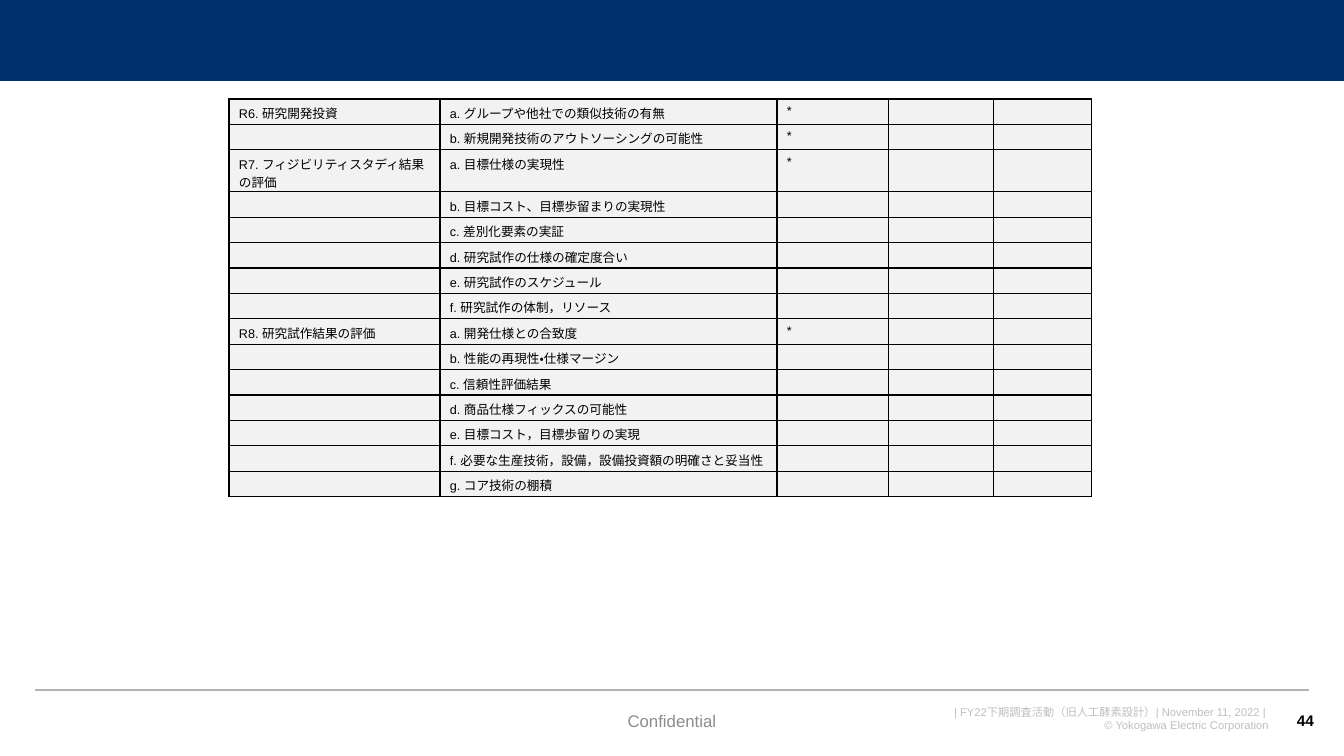
"""Build the research review checklist slide with its header bar and footer."""
from lxml import etree
from pptx import Presentation
from pptx import util as u
from pptx.dml.color import RGBColor
from pptx.enum import lang, shapes, text
from pptx.oxml import ns

PX = 914400 / 100.8
COLORS = {
    "navy": "00316C", "white": "FFFFFF", "black": "000000", "cell": "F2F2F2",
    "rule": "B2B2B2", "note": "BFBFBF", "label": "8C8C8C",
}


def px(*lengths):
    return [u.Emu(round(length * PX)) for length in lengths]


def write(frame, wording, size, color, align=text.PP_ALIGN.LEFT, bold=False,
          anchor=text.MSO_ANCHOR.TOP, wrap=True):
    frame.word_wrap = wrap
    frame.vertical_anchor = anchor
    for index, line in enumerate(wording.split("\n")):
        para = frame.paragraphs[0] if index == 0 else frame.add_paragraph()
        para.alignment = align
        if not line:
            etree.SubElement(para._p, ns.qn("a:endParaRPr"), sz=str(size * 100))
            continue
        span = para.add_run()
        span.text = line
        span.font.name = "Arial"
        span.font.size = u.Pt(size)
        span.font.bold = bold
        span.font.language_id = lang.MSO_LANGUAGE_ID.JAPANESE
        span.font.color.rgb = RGBColor.from_string(COLORS[color])


deck = Presentation()
deck.slide_width, deck.slide_height = px(1344, 756)
page = deck.slides.add_slide(deck.slide_layouts[6])

header = page.shapes.add_shape(shapes.MSO_SHAPE.RECTANGLE, *px(0, 0, 1344, 82))
header.shadow.inherit = False
header.fill.solid()
header.fill.fore_color.rgb = RGBColor.from_string(COLORS["navy"])
header.line.fill.background()

for left, right, top, color, weight in [(0, 1344, 82, "white", 0.75),
                                        (35, 1309, 690, "rule", 1)]:
    rule = page.shapes.add_connector(shapes.MSO_CONNECTOR.STRAIGHT,
                                     *px(left, top, right, top))
    rule.line.color.rgb = RGBColor.from_string(COLORS[color])
    rule.line.width = u.Pt(weight)
    etree.SubElement(rule._element.spPr, ns.qn("a:effectLst"))

footer = "| FY22下期調査活動（旧人工酵素設計）| November 11, 2022 | \n© Yokogawa Electric Corporation"
middle = text.MSO_ANCHOR.MIDDLE
for bounds, wording, style in [
    ((935, 700, 344, 37), footer,
     dict(size=8, color="note", align=text.PP_ALIGN.RIGHT)),
    ((1280, 700, 44, 40), "44",
     dict(size=11, color="black", align=text.PP_ALIGN.RIGHT, bold=True,
          anchor=middle, wrap=False)),
    ((445, 701, 454, 40), "Confidential",
     dict(size=12, color="label", align=text.PP_ALIGN.CENTER, anchor=middle)),
]:
    box = page.shapes.add_textbox(*px(*bounds))
    write(box.text_frame, wording, **style)

reviews = [
    ("R6. 研究開発投資", 2, [
        "a. グループや他社での類似技術の有無",
        "b. 新規開発技術のアウトソーシングの可能性",
    ]),
    ("R7. フィジビリティスタディ結果の評価", 1, [
        "a. 目標仕様の実現性",
        "b. 目標コスト、目標歩留まりの実現性",
        "c. 差別化要素の実証",
        "d. 研究試作の仕様の確定度合い",
        "e. 研究試作のスケジュール",
        "f. 研究試作の体制，リソース",
    ]),
    ("R8. 研究試作結果の評価", 1, [
        "a. 開発仕様との合致度",
        "b. 性能の再現性・仕様マージン",
        "c. 信頼性評価結果",
        "d. 商品仕様フィックスの可能性",
        "e. 目標コスト，目標歩留りの実現",
        "f. 必要な生産技術，設備，設備投資額の明確さと妥当性",
        "g. コア技術の棚積",
    ]),
]
rows = [
    (heading if index == 0 else "", item, "*" if index < starred else "", "", "")
    for heading, starred, items in reviews
    for index, item in enumerate(items)
]
widths = [211, 337, 112, 105, 98]
two_line_row = 2

frame = page.shapes.add_table(len(rows), len(widths),
                              *px(229, 99, sum(widths), 381))
table = frame.table
table.first_row = table.horz_banding = False
for column, width in zip(table.columns, px(*widths)):
    column.width = width
table.rows[two_line_row].height = px(42)[0]
frame.height = sum(row.height for row in table.rows)

for row_index, row in enumerate(rows):
    for column_index, wording in enumerate(row):
        cell = table.cell(row_index, column_index)
        cell.margin_left, cell.margin_top, cell.margin_right, cell.margin_bottom = px(10, 5, 5, 0)
        write(cell.text_frame, wording, 9, "black")
        cell.vertical_anchor = text.MSO_ANCHOR.TOP
        borders = cell._tc.get_or_add_tcPr()
        for side in ("lnL", "lnR", "lnT", "lnB"):
            edge = etree.SubElement(borders, ns.qn(f"a:{side}"), w=str(u.Pt(1)))
            paint = etree.SubElement(edge, ns.qn("a:solidFill"))
            etree.SubElement(paint, ns.qn("a:srgbClr"), val=COLORS["black"])
        cell.fill.solid()
        cell.fill.fore_color.rgb = RGBColor.from_string(COLORS["cell"])

deck.save("out.pptx")
